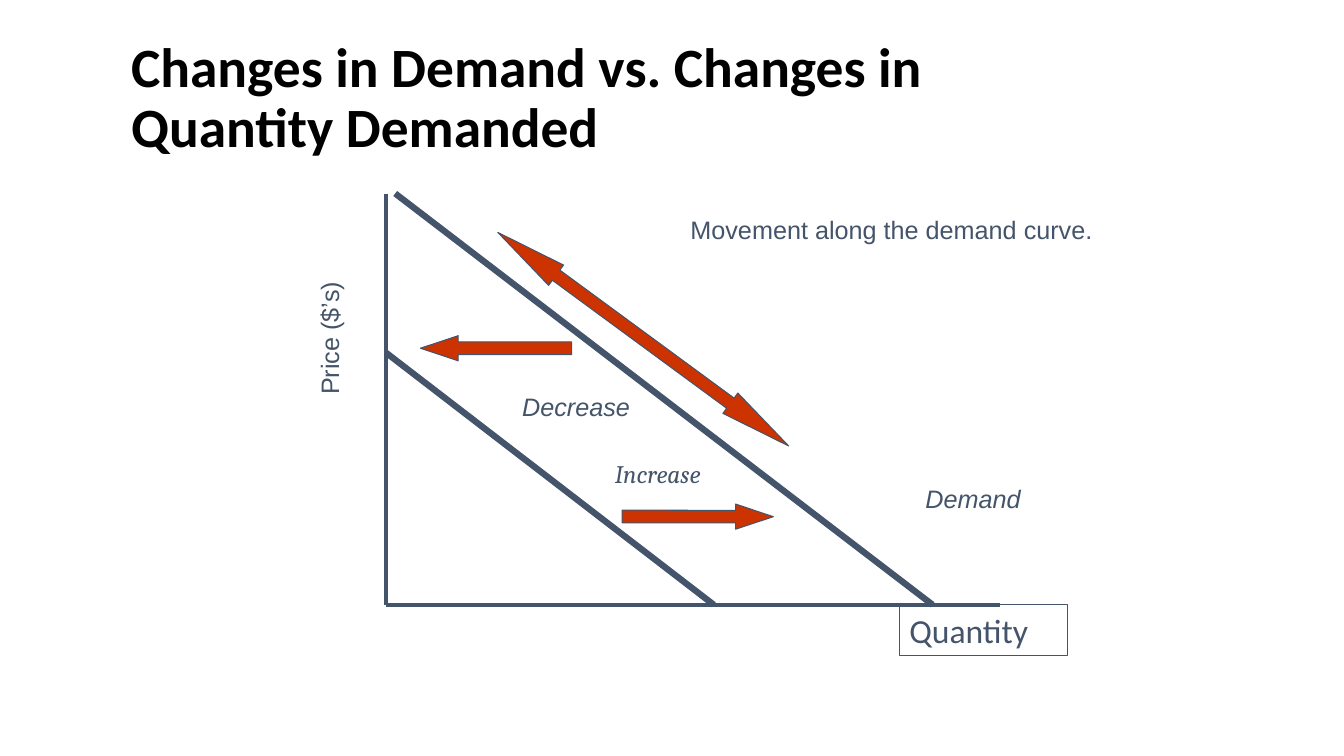
from lxml.etree import SubElement
from pptx import Presentation
from pptx.dml.color import RGBColor
from pptx.enum.shapes import MSO_CONNECTOR, MSO_SHAPE
from pptx.enum.text import MSO_ANCHOR, MSO_AUTO_SIZE, PP_ALIGN
from pptx.oxml.ns import qn
from pptx.util import Inches, Pt

COLORS = {"ink": "44546A", "arrow": "CC3300", "title": "000000"}


class DemandSlide:
    """Draws the elements of a demand diagram in one shared style."""

    def __init__(self, deck):
        self.slide = deck.slides.add_slide(deck.slide_layouts[5])
        self.shapes = self.slide.shapes

    def color(self, name):
        return RGBColor.from_string(COLORS[name])

    def set_text(self, frame, text, size, font="Calibri", color="ink", bold=False, italic=False):
        frame.text = text
        paragraph = frame.paragraphs[0]
        paragraph.alignment = PP_ALIGN.LEFT
        style = paragraph.runs[0].font
        style.name, style.size = font, Pt(size)
        style.bold, style.italic = bold, italic
        style.color.rgb = self.color(color)
        return paragraph

    def outline(self, line, width=0.75):
        line.color.rgb = self.color("ink")
        line.width = Pt(width)

    def title(self, text, *box):
        heading = self.shapes.title
        heading.left, heading.top, heading.width, heading.height = map(Inches, box)
        frame = heading.text_frame
        frame.word_wrap = True
        frame.auto_size = MSO_AUTO_SIZE.NONE
        frame.vertical_anchor = MSO_ANCHOR.MIDDLE
        self.set_text(frame, text, 39.6, color="title", bold=True).line_spacing = 0.9

    def line(self, start, end, width):
        segment = self.shapes.add_connector(
            MSO_CONNECTOR.STRAIGHT, *map(Inches, (*start, *end)))
        self.outline(segment.line, width)
        SubElement(segment.element.spPr, qn("a:effectLst"))

    def arrow(self, kind, box, head, rotation=0):
        arrow = self.shapes.add_shape(kind, *map(Inches, box))
        arrow.adjustments[0], arrow.adjustments[1] = 0.5, head
        arrow.rotation = rotation
        arrow.shadow.inherit = False
        arrow.fill.solid()
        arrow.fill.fore_color.rgb = self.color("arrow")
        self.outline(arrow.line)

    def label(self, text, left, top, width, font="Arial", italic=False, rotation=0):
        label = self.shapes.add_textbox(*map(Inches, (left, top, width, 0.4)))
        label.rotation = rotation
        label.text_frame.word_wrap = False
        self.set_text(label.text_frame, text, 18, font, italic=italic)

    def boxed_label(self, text, *box):
        frame = self.shapes.add_shape(MSO_SHAPE.RECTANGLE, *map(Inches, box))
        frame.shadow.inherit = False
        frame.fill.background()
        self.outline(frame.line)
        frame.text_frame.word_wrap = True
        frame.text_frame.vertical_anchor = MSO_ANCHOR.TOP
        self.set_text(frame.text_frame, text, 24)


def main():
    deck = Presentation()
    deck.slide_width, deck.slide_height = Inches(13.33), Inches(7.5)
    diagram = DemandSlide(deck)
    diagram.title("Changes in Demand vs. Changes in Quantity Demanded", 1.2, 0.35, 9.78, 1.28)

    origin = (3.83, 6)
    diagram.line((3.83, 1.92), origin, 3)
    diagram.line(origin, (9.92, 6), 3)
    diagram.line((3.83, 3.5), (7.08, 6), 4.5)
    diagram.boxed_label("Quantity", 8.92, 6, 1.67, 0.5)
    diagram.line((3.92, 1.92), (9.25, 6), 4.5)

    diagram.arrow(MSO_SHAPE.LEFT_RIGHT_ARROW, (4.59, 3.24, 3.58, 0.25), 2.87, 36.3)
    diagram.arrow(MSO_SHAPE.LEFT_ARROW, (4.17, 3.33, 1.5, 0.25), 1.5)
    diagram.arrow(MSO_SHAPE.LEFT_ARROW, (6.17, 5, 1.5, 0.25), 1.5, 180.1)

    diagram.label("Movement along the demand curve.", 6.75, 2.08, 4.23)
    diagram.label("Price ($’s)", 2.6, 3.15, 1.33, rotation=270)
    diagram.label("Demand", 9.08, 4.75, 1.16, italic=True)
    diagram.label("Increase", 6, 4.5, 1.1, "Cambria", italic=True)
    diagram.label("Decrease", 5.08, 3.83, 1.28, italic=True)
    deck.save("out.pptx")


if __name__ == "__main__":
    main()
